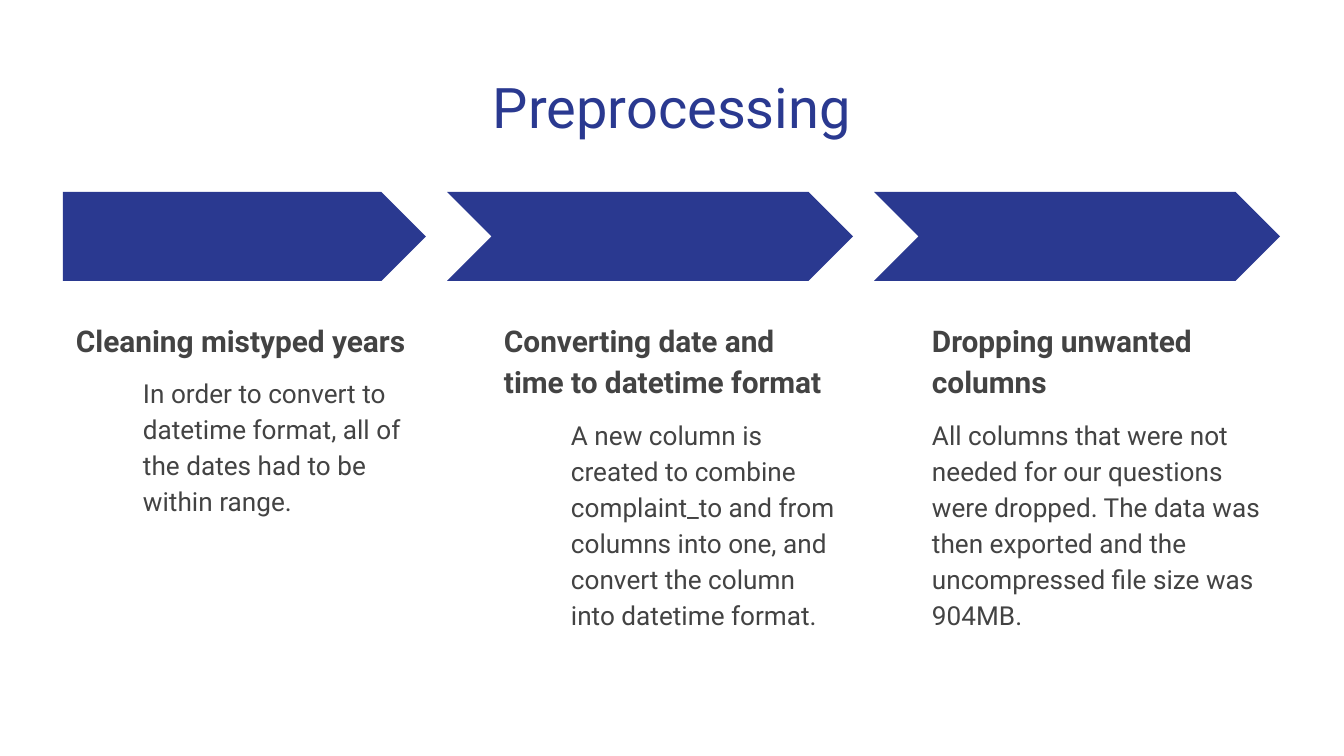
import pptx
import pptx.dml.color
import pptx.enum.shapes
import pptx.enum.text
import pptx.util

# Content: heading, detail, detail indent in px
TITLE = "Preprocessing"
STEPS = [
    ("Cleaning mistyped years",
     "In order to convert to datetime format, all of the dates had to be within range.", 67),
    ("Converting date and time to datetime format",
     "A new column is created to combine complaint_to and from columns into one, "
     "and convert the column into datetime format.", 67),
    ("Dropping unwanted columns",
     "All columns that were not needed for our questions were dropped. "
     "The data was then exported and the uncompressed file size was 904MB.", 0),
]

# Style
FONT = "Roboto"
BLUE, GRAY, WHITE = "2A3990", "434343", "FFFFFF"

# Layout in px
SLIDE_W, SLIDE_H = 1344, 756
TITLE_BOX = (46, 60, 1252, 89)
LEFT, COLUMN_W = 63, 363
ARROW_TOP, ARROW_H, ARROW_PITCH = 192, 89, 427
NOTCH = 43
TEXT_TOP, TEXT_H, TEXT_PITCH = 304, 390, 428
INSET = 13


def px(length):
    return round(length * 914400 / 134.4)


def color(value):
    return pptx.dml.color.RGBColor.from_string(value)


def set_frame(frame):
    frame.word_wrap = True
    frame.auto_size = pptx.enum.text.MSO_AUTO_SIZE.NONE
    frame.vertical_anchor = pptx.enum.text.MSO_ANCHOR.TOP
    frame.margin_left = frame.margin_right = px(INSET)
    frame.margin_top = frame.margin_bottom = px(INSET)


def write(paragraph, text, size, ink, bold=False, align="LEFT", line=1.0, gap=0, indent=0):
    paragraph.alignment = getattr(pptx.enum.text.PP_ALIGN, align)
    paragraph.line_spacing = line
    paragraph.space_before = paragraph.space_after = pptx.util.Pt(gap)
    if indent:
        paragraph._p.get_or_add_pPr().set("marL", str(px(indent)))
    run = paragraph.add_run()
    run.text = text
    run.font.name = FONT
    run.font.size = pptx.util.Pt(size)
    run.font.bold = bold
    run.font.color.rgb = color(ink)


def add_arrow(slide, kind, left, right):
    arrow = slide.shapes.add_shape(
        kind, px(left), px(ARROW_TOP), px(right - left), px(ARROW_H))
    arrow.adjustments[0] = 0.5
    arrow.shadow.inherit = False
    arrow.fill.solid()
    arrow.fill.fore_color.rgb = color(BLUE)
    arrow.line.fill.background()


def main():
    deck = pptx.Presentation()
    deck.slide_width, deck.slide_height = px(SLIDE_W), px(SLIDE_H)
    slide = deck.slides.add_slide(deck.slide_layouts[5])
    slide.background.fill.solid()
    slide.background.fill.fore_color.rgb = color(WHITE)

    # Title
    title = slide.shapes.title
    title.left, title.top, title.width, title.height = map(px, TITLE_BOX)
    set_frame(title.text_frame)
    write(title.text_frame.paragraphs[0], TITLE, 30, BLUE, align="CENTER")

    # Steps: an arrow with its explanation below
    shapes = pptx.enum.shapes.MSO_SHAPE
    for i, (heading, detail, indent) in enumerate(STEPS):
        right = LEFT + COLUMN_W + i * ARROW_PITCH
        if i == 0:
            add_arrow(slide, shapes.PENTAGON, LEFT, right)
        else:
            add_arrow(slide, shapes.CHEVRON, right - COLUMN_W - NOTCH, right)

        explanation = slide.shapes.add_textbox(
            px(LEFT + i * TEXT_PITCH), px(TEXT_TOP), px(COLUMN_W), px(TEXT_H)).text_frame
        set_frame(explanation)
        write(explanation.paragraphs[0], heading, 16, GRAY, bold=True, line=1.15)
        write(explanation.add_paragraph(), detail, 14, GRAY, line=1.15, gap=8, indent=indent)

    deck.save("out.pptx")


if __name__ == "__main__":
    main()
